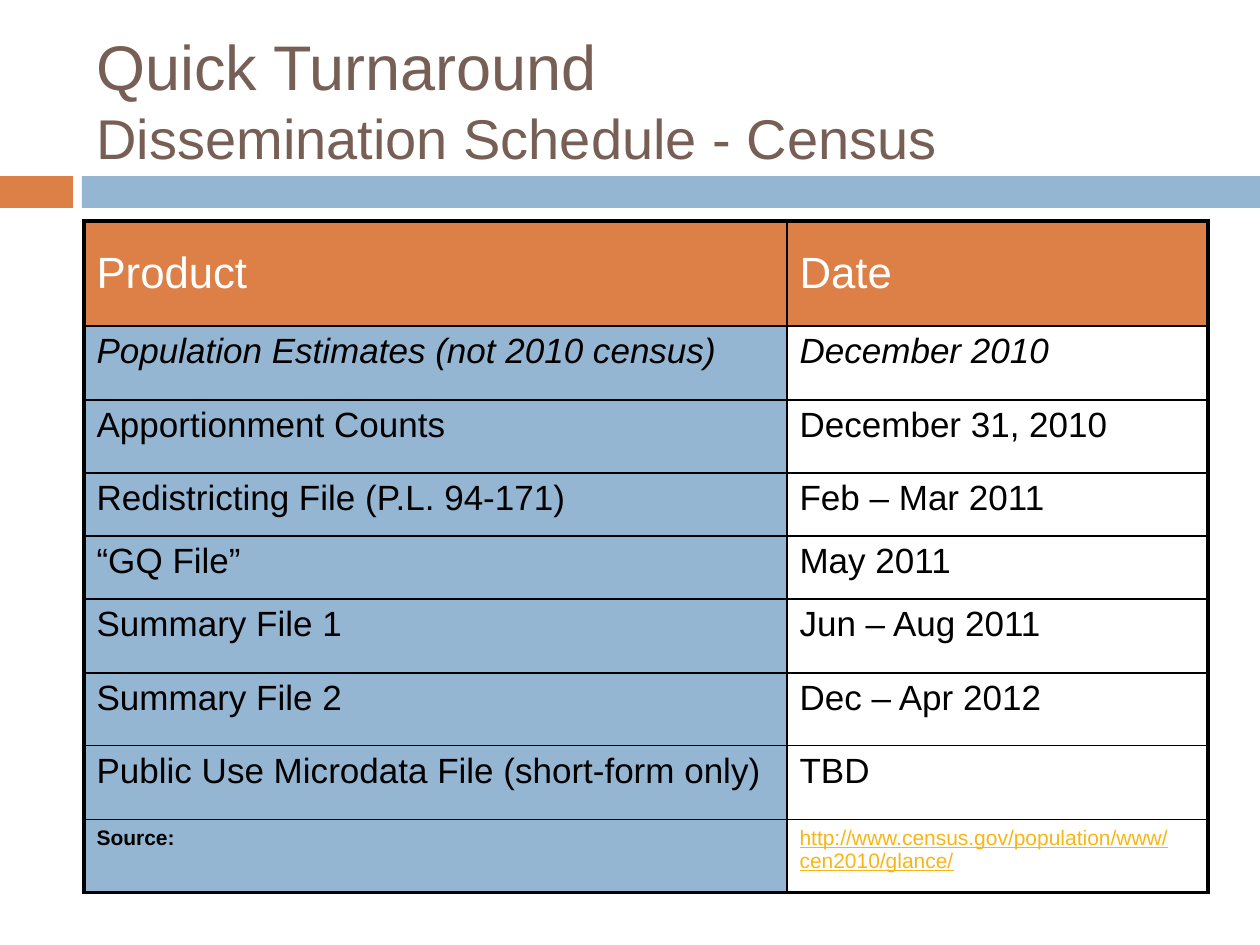
"""Build the census dissemination schedule slide."""
from lxml import etree
from pptx import Presentation, util as u
from pptx.dml.color import RGBColor
from pptx.enum import shapes, text
from pptx.oxml.ns import qn

COLORS = {"orange": "DD8047", "blue": "94B6D2", "brown": "775F55",
          "white": "FFFFFF", "black": "000000", "link": "F7B615"}
PX = 914400 // 126
TITLE = [("Quick Turnaround", 36), ("Dissemination Schedule - Census", 32)]
BANDS = [((0, 176, 73, 32), "orange"), ((82, 176, 1178, 32), "blue")]
COLUMNS = [703, 421]
ROWS = [
    (105, "Product", "Date"),
    (74, "Population Estimates (not 2010 census)", "December 2010"),
    (73, "Apportionment Counts", "December 31, 2010"),
    (63, "Redistricting File (P.L. 94-171)", "Feb – Mar 2011"),
    (63, "“GQ File”", "May 2011"),
    (74, "Summary File 1", "Jun – Aug 2011"),
    (73, "Summary File 2", "Dec – Apr 2012"),
    (74, "Public Use Microdata File (short-form only)", "TBD"),
    (73, "Source:", "http://www.census.gov/population/www/cen2010/glance/"),
]
LAST = len(ROWS) - 1
THIN, THICK = 1, 2.25


def box(*lengths):
    return [length * PX for length in lengths]


def rgb(name):
    return RGBColor.from_string(COLORS[name])


def add_text(paragraph, words, size, color="black", bold=False, italic=False, underline=False):
    run = paragraph.add_run()
    run.text = words
    font = run.font
    font.name, font.size = "Arial", u.Pt(size)
    font.bold, font.italic, font.underline = bold, italic, underline
    font.color.rgb = rgb(color)


def set_borders(cell, widths):
    properties = cell._tc.get_or_add_tcPr()
    for index, (side, width) in enumerate(widths.items()):
        line = etree.Element(qn(f"a:ln{side}"), w=str(u.Pt(width)))
        fill = etree.SubElement(line, qn("a:solidFill"))
        etree.SubElement(fill, qn("a:srgbClr"), val=COLORS["black"])
        properties.insert(index, line)


def cell_format(row, column):
    if row == 0:
        return {"size": 25, "color": "white"}
    if row == LAST:
        return {"size": 12, "underline": True, "color": "link"} if column else {"size": 12, "bold": True}
    return {"size": 20, "italic": row == 1}


def add_bands(slide):
    for place, color in BANDS:
        shape = slide.shapes.add_shape(shapes.MSO_SHAPE.RECTANGLE, *box(*place))
        shape.shadow.inherit = False
        shape.fill.solid()
        shape.fill.fore_color.rgb = rgb(color)
        shape.line.fill.background()


def add_title(slide):
    frame = slide.shapes.add_textbox(*box(84, 31, 1124, 136)).text_frame
    frame.word_wrap = True
    frame.vertical_anchor = text.MSO_ANCHOR.MIDDLE
    paragraph = frame.paragraphs[0]
    for index, (words, size) in enumerate(TITLE):
        if index:
            paragraph.add_line_break()
        add_text(paragraph, words, size, color="brown")


def add_schedule(slide):
    height = sum(row[0] for row in ROWS)
    table = slide.shapes.add_table(len(ROWS), len(COLUMNS), *box(84, 221, sum(COLUMNS), height)).table
    table.first_row = table.horz_banding = False
    for column, width in enumerate(COLUMNS):
        table.columns[column].width = width * PX
    for row, (height, *entries) in enumerate(ROWS):
        table.rows[row].height = height * PX
        for column, words in enumerate(entries):
            cell = table.cell(row, column)
            if row and column:
                cell.fill.background()
            else:
                cell.fill.solid()
                cell.fill.fore_color.rgb = rgb("blue" if row else "orange")
            cell.vertical_anchor = text.MSO_ANCHOR.TOP if row else text.MSO_ANCHOR.MIDDLE
            add_text(cell.text_frame.paragraphs[0], words, **cell_format(row, column))
            set_borders(cell, {"L": THIN if column else THICK, "R": THICK if column else THIN,
                               "T": THIN if row else THICK, "B": THICK if row == LAST else THIN})


def main():
    presentation = Presentation()
    presentation.slide_width, presentation.slide_height = u.Inches(10), u.Inches(7.5)
    slide = presentation.slides.add_slide(presentation.slide_layouts[6])
    add_bands(slide)
    add_title(slide)
    add_schedule(slide)
    presentation.save("out.pptx")


if __name__ == "__main__":
    main()
